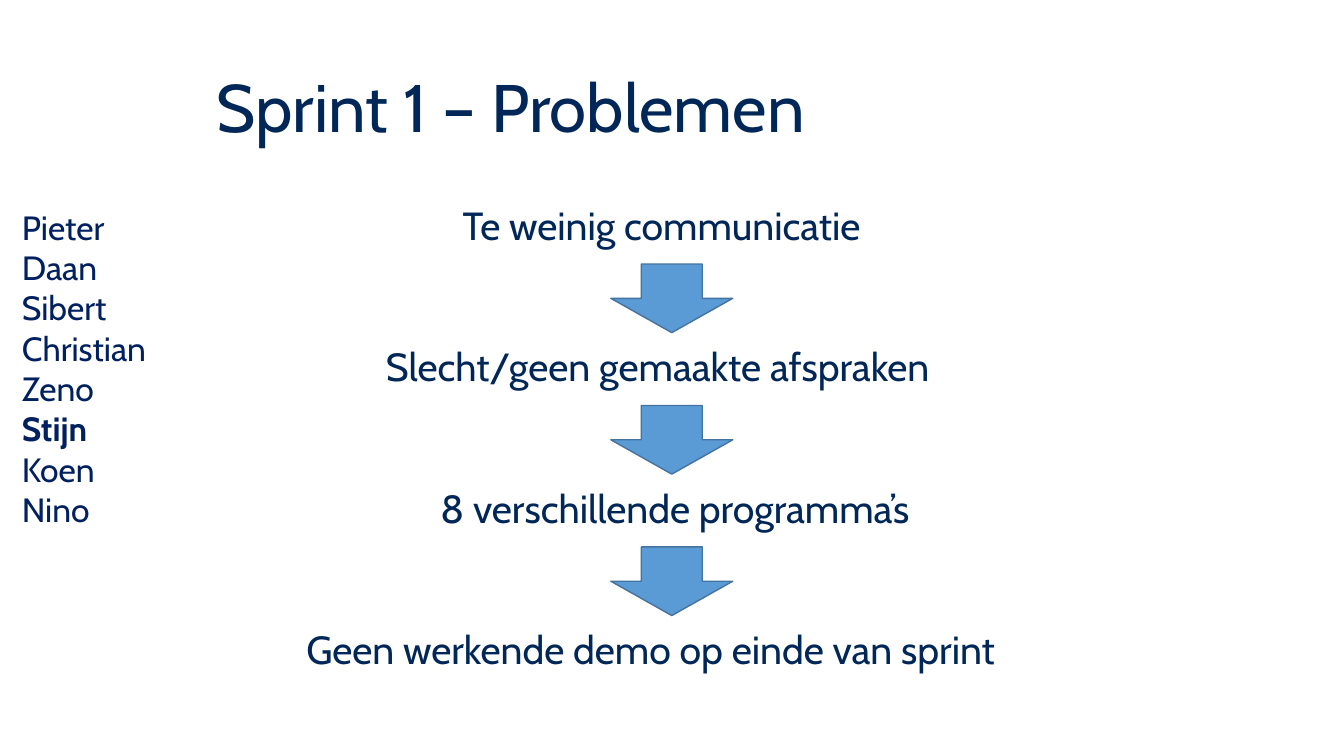
from pptx import Presentation
from pptx.dml.color import RGBColor
from pptx.enum.shapes import MSO_SHAPE as Shape
from pptx.enum.text import MSO_ANCHOR as Anchor
from pptx.util import Pt

NAVY = RGBColor(0x00, 0x27, 0x57)
INDIGO = RGBColor(0x00, 0x20, 0x60)
BLUE = RGBColor(0x5B, 0x9B, 0xD5)
EDGE = RGBColor(0x43, 0x73, 0x9E)
FONT = "Cabin"

NAMES = ["Pieter", "Daan", "Sibert", "Christian", "Zeno", "Stijn", "Koen", "Nino"]
# Text, left offset and width of each step
STEPS = [
    ("Te weinig communicatie", 111.6, 313.2),
    ("Slecht/geen gemaakte afspraken", 56.9, 423.4),
    ("8 verschillende programma’s", 95.8, 370.1),
    ("Geen werkende demo op einde van sprint", 0, 536.4),
]


def add_text(slide, box, text, size, color=NAVY, bold="", spacing=1.0, anchor=Anchor.TOP):
    """Write one paragraph per line; the line equal to bold is set in bold."""
    frame = slide.shapes.add_textbox(*map(Pt, box)).text_frame
    frame.word_wrap = True
    frame.vertical_anchor = anchor
    frame.text = text
    for para in frame.paragraphs:
        para.line_spacing = spacing
        font = para.font
        font.name, font.size = FONT, Pt(size)
        font.color.rgb = color
        font.bold = para.text == bold


def add_title(slide, box):
    add_text(slide, box, "Sprint 1 – Problemen", 48, spacing=0.9, anchor=Anchor.MIDDLE)


def add_team(slide, box):
    add_text(slide, box, "\n".join(NAMES), 24, color=INDIGO, bold="Stijn")


def add_arrow(slide, box):
    arrow = slide.shapes.add_shape(Shape.DOWN_ARROW, *map(Pt, box))
    arrow.shadow.inherit = False
    arrow.fill.solid()
    arrow.fill.fore_color.rgb = BLUE
    arrow.line.color.rgb = EDGE
    arrow.line.width = Pt(1)


def add_chain(slide, box):
    left, top, width, height = box
    row = 38.2
    pitch = (height - row) / (len(STEPS) - 1)
    for i, (text, shift, wide) in enumerate(STEPS):
        y = top + i * pitch
        add_text(slide, (left + shift, y, wide, row), text, 28, spacing=0.9)
        # Arrow down to the next step
        if i < len(STEPS) - 1:
            add_arrow(slide, (left + 224.6, y + 44.6, 87.1, 49))


def main():
    deck = Presentation()
    deck.slide_width, deck.slide_height = Pt(960), Pt(540)
    slide = deck.slides.add_slide(deck.slide_layouts[6])
    add_title(slide, (147.6, 28.8, 783.4, 100.8))
    add_team(slide, (8.6, 144, 117.4, 239.8))
    add_chain(slide, (211.7, 144, 536.4, 341.3))
    deck.save("out.pptx")


if __name__ == "__main__":
    main()
